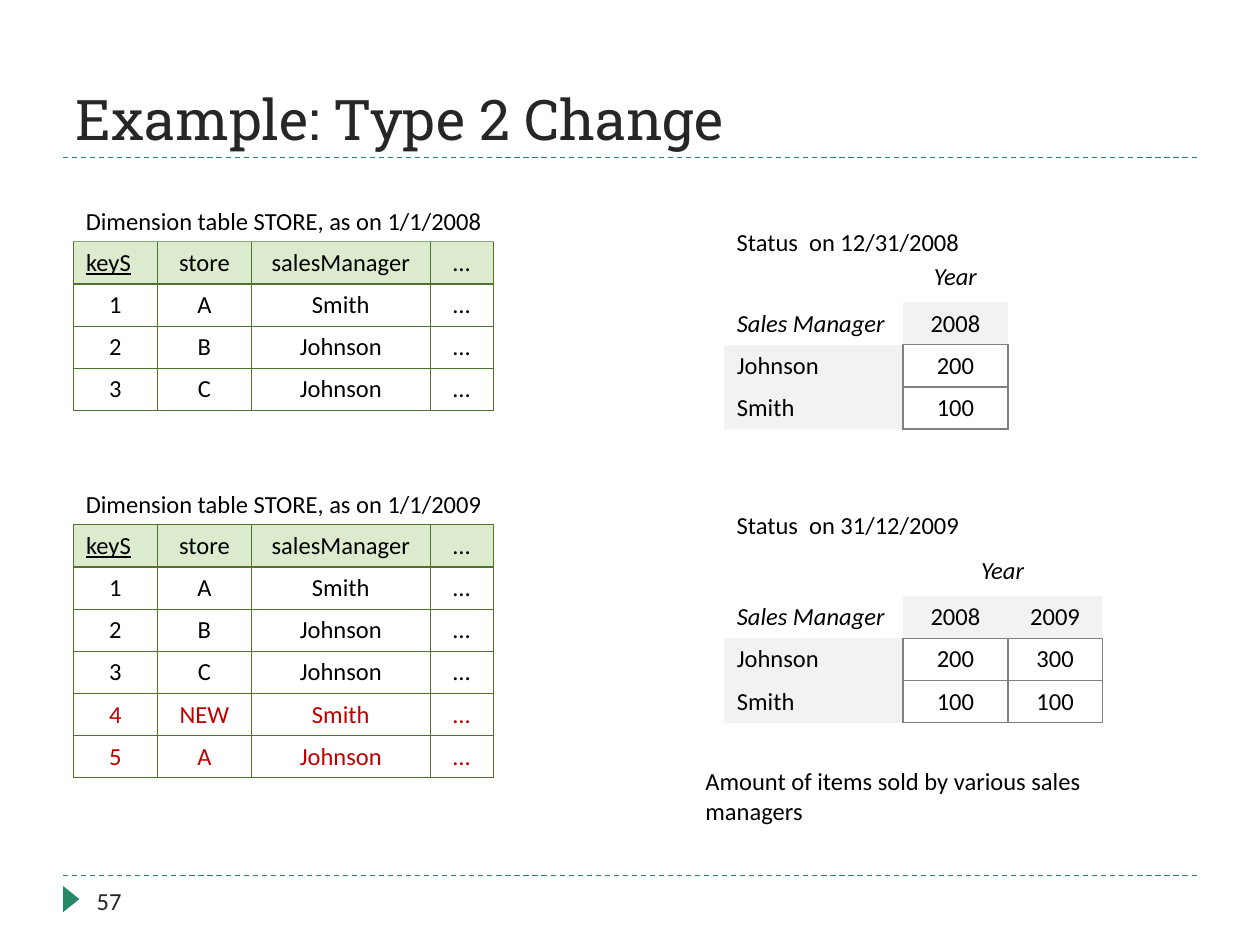
from pptx import Presentation
from pptx.dml.color import RGBColor
from pptx.enum.dml import MSO_LINE
from pptx.enum.shapes import MSO_CONNECTOR, MSO_SHAPE
from pptx.enum.text import MSO_ANCHOR, MSO_AUTO_SIZE, PP_ALIGN
from pptx.oxml.ns import qn
from pptx.util import Cm, Pt
from lxml import etree

DASH = MSO_LINE.DASH
STRAIGHT = MSO_CONNECTOR.STRAIGHT
TRIANGLE = MSO_SHAPE.ISOSCELES_TRIANGLE
RECTANGLE = MSO_SHAPE.RECTANGLE
TOP, MIDDLE, BOTTOM = MSO_ANCHOR.TOP, MSO_ANCHOR.MIDDLE, MSO_ANCHOR.BOTTOM
NO_FIT = MSO_AUTO_SIZE.NONE
LEFT, CENTER = PP_ALIGN.LEFT, PP_ALIGN.CENTER

BODY_FONT, TITLE_FONT = "Calibri", "Roboto Slab"
ACCENT, INK, BLACK, WHITE, RED = "268868", "262626", "000000", "FFFFFF", "C00000"
GREEN_LINE, GREEN_FILL = "50742F", "DCEBCE"
GRAY_LINE, GRAY_FILL = "808080", "F2F2F2"
NO_STYLE = "{2D5ABB26-0587-4C30-8999-92F81FD0307C}"
ROW_H = 0.85
STORE_COLS = [1.69, 1.9, 3.6, 1.27]
STORE_ROWS = [
    ["keyS", "store", "salesManager", "…"],
    ["1", "A", "Smith", "…"],
    ["2", "B", "Johnson", "…"],
    ["3", "C", "Johnson", "…"],
]
NEW_ROWS = [["4", "NEW", "Smith", "…"], ["5", "A", "Johnson", "…"]]


def rgb(value):
    return RGBColor.from_string(value)


def write(tf, text, color=BLACK, size=14, font=BODY_FONT, align=LEFT,
          italic=False, underline=False):
    p = tf.paragraphs[0]
    p.alignment = align
    r = p.add_run()
    r.text = text
    f = r.font
    f.name, f.size, f.italic, f.underline = font, Pt(size), italic, underline
    f.color.rgb = rgb(color)


def add_rule(slide, x, y, w):
    line = slide.shapes.add_connector(STRAIGHT, Cm(x), Cm(y), Cm(x + w), Cm(y))
    line.line.color.rgb = rgb(ACCENT)
    line.line.width = Pt(0.75)
    line.line.dash_style = DASH
    etree.SubElement(line._element.spPr, qn("a:effectLst"))


def add_title(slide, x, y, w, h, text):
    title = slide.shapes.title
    title.left, title.top, title.width, title.height = Cm(x), Cm(y), Cm(w), Cm(h)
    tf = title.text_frame
    tf.auto_size = NO_FIT
    tf.vertical_anchor = BOTTOM
    write(tf, text, INK, 32, TITLE_FONT)
    add_rule(slide, x, y + h, w)


def add_footer(slide, x, y, w, number):
    add_rule(slide, x, y, w)
    marker = slide.shapes.add_shape(TRIANGLE, Cm(x - 0.1), Cm(y + 0.31), Cm(0.53), Cm(0.33))
    marker.rotation = 90
    marker.shadow.inherit = False
    marker.fill.solid()
    marker.fill.fore_color.rgb = rgb(ACCENT)
    marker.line.fill.background()
    box = slide.shapes.add_textbox(Cm(x + 0.43), Cm(y), Cm(5.5), Cm(1.02))
    box.text_frame.word_wrap = True
    box.text_frame.vertical_anchor = MIDDLE
    write(box.text_frame, number, INK)


def add_caption(slide, x, y, w, text, h=ROW_H):
    sp = slide.shapes.add_shape(RECTANGLE, Cm(x), Cm(y), Cm(w), Cm(h))
    sp.shadow.inherit = False
    sp.fill.solid()
    sp.fill.fore_color.rgb = rgb(WHITE)
    sp.line.fill.background()
    sp.text_frame.word_wrap = True
    sp.text_frame.vertical_anchor = TOP
    write(sp.text_frame, text)


def add_grid(slide, x, y, cols, n_rows):
    """Add an unstyled table with equal rows."""
    frame = slide.shapes.add_table(n_rows, len(cols), Cm(x), Cm(y),
                                   Cm(sum(cols)), Cm(ROW_H * n_rows))
    table = frame.table
    table.first_row = table.horz_banding = False
    table._tbl.tblPr.find(qn("a:tableStyleId")).text = NO_STYLE
    for column, width in zip(table.columns, cols):
        column.width = Cm(width)
    for row in table.rows:
        row.height = Cm(ROW_H)
    return table


def style_cell(cell, borders, color, fill=None):
    """Set borders, given as side letter to width in points, then the fill."""
    tcPr = cell._tc.get_or_add_tcPr()
    for side in "LRTB":
        width = borders.get(side)
        ln = etree.SubElement(tcPr, qn(f"a:ln{side}"), w=str(Pt(width or 0)))
        if width:
            solid = etree.SubElement(ln, qn("a:solidFill"))
            etree.SubElement(solid, qn("a:srgbClr"), val=color)
        else:
            etree.SubElement(ln, qn("a:noFill"))
    if fill:
        cell.fill.solid()
        cell.fill.fore_color.rgb = rgb(fill)
    else:
        cell.fill.background()


def add_store_table(slide, x, y, rows, new_rows=()):
    """Add a STORE table whose new rows stand out in red."""
    all_rows = [*rows, *new_rows]
    table = add_grid(slide, x, y, STORE_COLS, len(all_rows))
    for i, row in enumerate(all_rows):
        borders = dict.fromkeys("LRTB", 0.5)
        if i < 2:
            borders["B" if i == 0 else "T"] = 1.5
        for j, text in enumerate(row):
            cell = table.cell(i, j)
            is_key = i == j == 0
            style_cell(cell, borders, GREEN_LINE, GREEN_FILL if i == 0 else None)
            write(cell.text_frame, text, RED if i >= len(rows) else BLACK,
                  align=LEFT if is_key else CENTER, underline=is_key)


def add_status_table(slide, x, y, cols, years, sales):
    """Add a cross table of sales by manager and year."""
    rows = [["", "Year"] + [""] * (len(years) - 1), ["Sales Manager", *years]]
    rows += [[manager, *amounts] for manager, amounts in sales.items()]
    table = add_grid(slide, x, y, cols, len(rows))
    for i, row in enumerate(rows):
        for j, text in enumerate(row):
            cell = table.cell(i, j)
            if i > 1 and j > 0:
                sides, fill = "LRTB", None
            elif i > 1:
                sides, fill = "R", GRAY_FILL
            elif i == 1 and j > 0:
                sides, fill = "B", GRAY_FILL
            else:
                sides, fill = "", None
            style_cell(cell, dict.fromkeys(sides, 1), GRAY_LINE, fill)
            cell.vertical_anchor = MIDDLE
            write(cell.text_frame, text, align=CENTER if j else LEFT,
                  italic=text in ("Year", "Sales Manager"))
    if len(years) > 1:
        table.cell(0, 1).merge(table.cell(0, len(years)))


def main():
    prs = Presentation()
    prs.slide_width, prs.slide_height = Cm(25.4), Cm(19.05)
    slide = prs.slides.add_slide(prs.slide_layouts[5])
    add_title(slide, 1.27, 0.64, 22.86, 2.54, "Example: Type 2 Change")
    add_footer(slide, 1.27, 17.65, 22.86, "57")

    store_x, status_x = 1.48, 14.6
    add_store_table(slide, store_x, 4.87, STORE_ROWS)
    add_caption(slide, store_x, 4.02, 8.89, "Dimension table STORE, as on 1/1/2008")
    add_caption(slide, store_x, 9.73, 9.1, "Dimension table STORE, as on 1/1/2009")
    add_store_table(slide, store_x, 10.58, STORE_ROWS, NEW_ROWS)

    add_status_table(slide, status_x, 5.08, [3.6, 2.12], ["2008"],
                     {"Johnson": ["200"], "Smith": ["100"]})
    add_status_table(slide, status_x, 11, [3.6, 2.12, 1.9], ["2008", "2009"],
                     {"Johnson": ["200", "300"], "Smith": ["100", "100"]})
    add_caption(slide, 13.97, 15.32, 9.1,
                "Amount of items sold by various sales managers", 1.45)
    add_caption(slide, status_x, 4.45, 7.62, "Status  on 12/31/2008")
    add_caption(slide, status_x, 10.16, 7.62, "Status  on 31/12/2009")
    prs.save("out.pptx")


if __name__ == "__main__":
    main()
